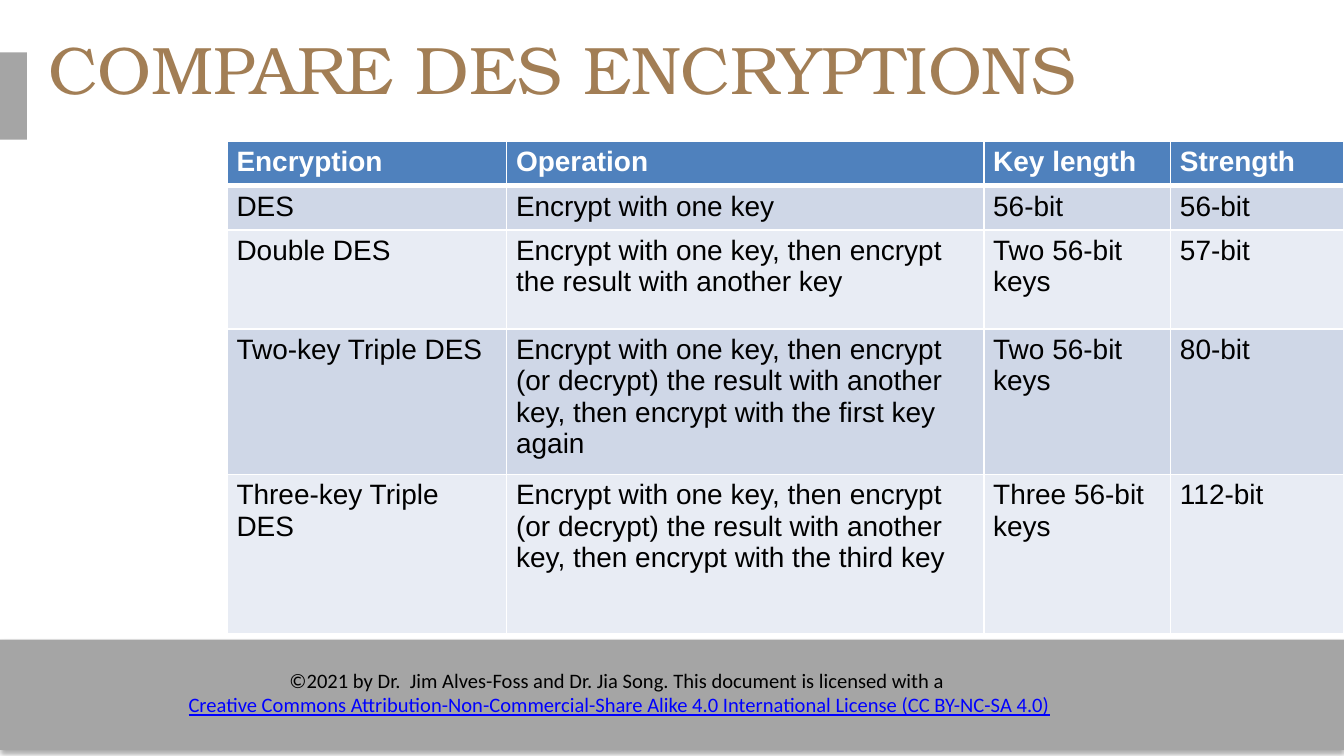
import pptx
import pptx.dml.color
import pptx.enum.shapes
import pptx.enum.text
import pptx.oxml
import pptx.oxml.ns
import pptx.util
from lxml import etree

Inches = pptx.util.Inches
Pt = pptx.util.Pt
qn = pptx.oxml.ns.qn

TABLE_ROWS = [
    ("Encryption", "Operation", "Key length", "Strength"),
    ("DES", "Encrypt with one key", "56-bit", "56-bit"),
    ("Double DES",
     "Encrypt with one key, then encrypt the result with another key",
     "Two 56-bit keys", "57-bit"),
    ("Two-key Triple DES",
     "Encrypt with one key, then encrypt (or decrypt) the result with another key, "
     "then encrypt with the first key again",
     "Two 56-bit keys", "80-bit"),
    ("Three-key Triple DES",
     "Encrypt with one key, then encrypt (or decrypt) the result with another key, "
     "then encrypt with the third key",
     "Three 56-bit keys", "112-bit"),
]
COLUMN_WIDTHS = [2.08, 3.55, 1.39, 1.29]
ROW_HEIGHTS = [0.29, 0.29, 0.74, 0.97, 1.19]


def rgb(hex_color):
    return pptx.dml.color.RGBColor.from_string(hex_color)


class SlideBuilder:
    WHITE, BLACK, GRAY = "FFFFFF", "000000", "A5A5A5"
    TITLE, LINK, HEADER = "A27E55", "0000FF", "4F81BD"
    BANDS = ("CFD7E7", "E8ECF4")
    TITLE_FONT, TABLE_FONT, FOOTER_FONT = "TeX Gyre Bonum", "Arial", "Calibri"

    def __init__(self, slide):
        self.slide = slide

    def run(self, paragraph, text, font, size, color, bold=False, underline=False):
        run = paragraph.add_run()
        run.text = text
        run.font.name = font
        run.font.size = Pt(size)
        run.font.bold = bold
        run.font.underline = underline
        run.font.color.rgb = rgb(color)

    def end_mark(self, paragraph, font, size):
        """Give the paragraph end the font of its text, so that rows keep their height."""
        mark = etree.SubElement(paragraph._p, qn("a:endParaRPr"), sz=str(size * 100))
        etree.SubElement(mark, qn("a:latin"), typeface=font)

    def bar(self, left, top, width, height, shadow=False):
        shape = self.slide.shapes.add_shape(
            pptx.enum.shapes.MSO_SHAPE.RECTANGLE,
            Inches(left), Inches(top), Inches(width), Inches(height))
        shape.fill.solid()
        shape.fill.fore_color.rgb = rgb(self.GRAY)
        shape.line.fill.background()
        shape.shadow.inherit = False
        if shadow:
            effects = shape._element.spPr.find(qn("a:effectLst"))
            outer = etree.SubElement(
                effects, qn("a:outerShdw"), blurRad=str(Pt(3.1)), dist=str(Pt(1.8)),
                dir="5400000", rotWithShape="0")
            color = etree.SubElement(outer, qn("a:srgbClr"), val=self.BLACK)
            etree.SubElement(color, qn("a:alpha"), val="35000")

    def title(self, text, left, top, width, height):
        shape = self.slide.shapes.title
        shape.left, shape.top = Inches(left), Inches(top)
        shape.width, shape.height = Inches(width), Inches(height)
        frame = shape.text_frame
        frame.margin_left = frame.margin_right = 0
        frame.margin_top = frame.margin_bottom = 0
        frame.auto_size = pptx.enum.text.MSO_AUTO_SIZE.NONE
        frame.vertical_anchor = pptx.enum.text.MSO_ANCHOR.MIDDLE
        paragraph = frame.paragraphs[0]
        paragraph.alignment = pptx.enum.text.PP_ALIGN.LEFT
        paragraph.line_spacing = 0.9
        self.run(paragraph, text, self.TITLE_FONT, 36, self.TITLE)

    def license_note(self, notice, license_name, left, top, width, height):
        box = self.slide.shapes.add_textbox(
            Inches(left), Inches(top), Inches(width), Inches(height))
        frame = box.text_frame
        frame.word_wrap = True
        frame.auto_size = pptx.enum.text.MSO_AUTO_SIZE.SHAPE_TO_FIT_TEXT
        first, second = frame.paragraphs[0], frame.add_paragraph()
        first.alignment = second.alignment = pptx.enum.text.PP_ALIGN.CENTER
        self.run(first, notice, self.FOOTER_FONT, 11, self.BLACK)
        self.run(second, license_name, self.FOOTER_FONT, 11, self.LINK, underline=True)

    def cell_borders(self, cell, top, bottom):
        """Draw white borders; top and bottom are line widths in points."""
        properties = cell._tc.get_or_add_tcPr()
        sides = (("lnL", 1), ("lnR", 1), ("lnT", top), ("lnB", bottom))
        for position, (side, width) in enumerate(sides):
            line = pptx.oxml.parse_xml(
                f'<a:{side} {pptx.oxml.ns.nsdecls("a")} w="{Pt(width)}"><a:solidFill>'
                f'<a:srgbClr val="{self.WHITE}"/></a:solidFill></a:{side}>')
            properties.insert(position, line)

    def table(self, rows, column_widths, row_heights, left, top):
        table = self.slide.shapes.add_table(
            len(rows), len(column_widths), Inches(left), Inches(top),
            Inches(sum(column_widths)), Inches(sum(row_heights))).table
        for column, width in zip(table.columns, column_widths):
            column.width = Inches(width)
        for row, height in zip(table.rows, row_heights):
            row.height = Inches(height)
        for row_index, texts in enumerate(rows):
            header = row_index == 0
            fill = self.HEADER if header else self.BANDS[(row_index - 1) % 2]
            for column_index, text in enumerate(texts):
                cell = table.cell(row_index, column_index)
                cell.margin_left = cell.margin_right = Inches(0.07)
                cell.margin_top = cell.margin_bottom = Inches(0.04)
                cell.fill.solid()
                cell.fill.fore_color.rgb = rgb(fill)
                self.cell_borders(cell, top=3 if row_index == 1 else 1,
                                  bottom=3 if header else 1)
                paragraph = cell.text_frame.paragraphs[0]
                self.run(paragraph, text, self.TABLE_FONT, 15,
                         self.WHITE if header else self.BLACK, bold=header)
                self.end_mark(paragraph, self.TABLE_FONT, 15)


def main():
    presentation = pptx.Presentation()
    presentation.slide_width = Inches(10)
    presentation.slide_height = presentation.slide_width * 9 // 16
    title_only = presentation.slide_layouts[5]
    builder = SlideBuilder(presentation.slides.add_slide(title_only))

    builder.bar(0, 4.76, 10, 0.82, shadow=True)
    builder.license_note(
        "©2021 by Dr.  Jim Alves-Foss and Dr. Jia Song. This document is licensed with a ",
        "Creative Commons Attribution-Non-Commercial-Share Alike 4.0 International License "
        "(CC BY-NC-SA 4.0)",
        1.01, 4.92, 7.2, 0.47)
    builder.bar(-0.03, 0.39, 0.23, 0.65)
    builder.title("COMPARE DES ENCRYPTIONS", 0.36, 0.23, 9, 0.63)
    builder.table(TABLE_ROWS, COLUMN_WIDTHS, ROW_HEIGHTS, 1.69, 1.05)
    presentation.save("out.pptx")


if __name__ == "__main__":
    main()
